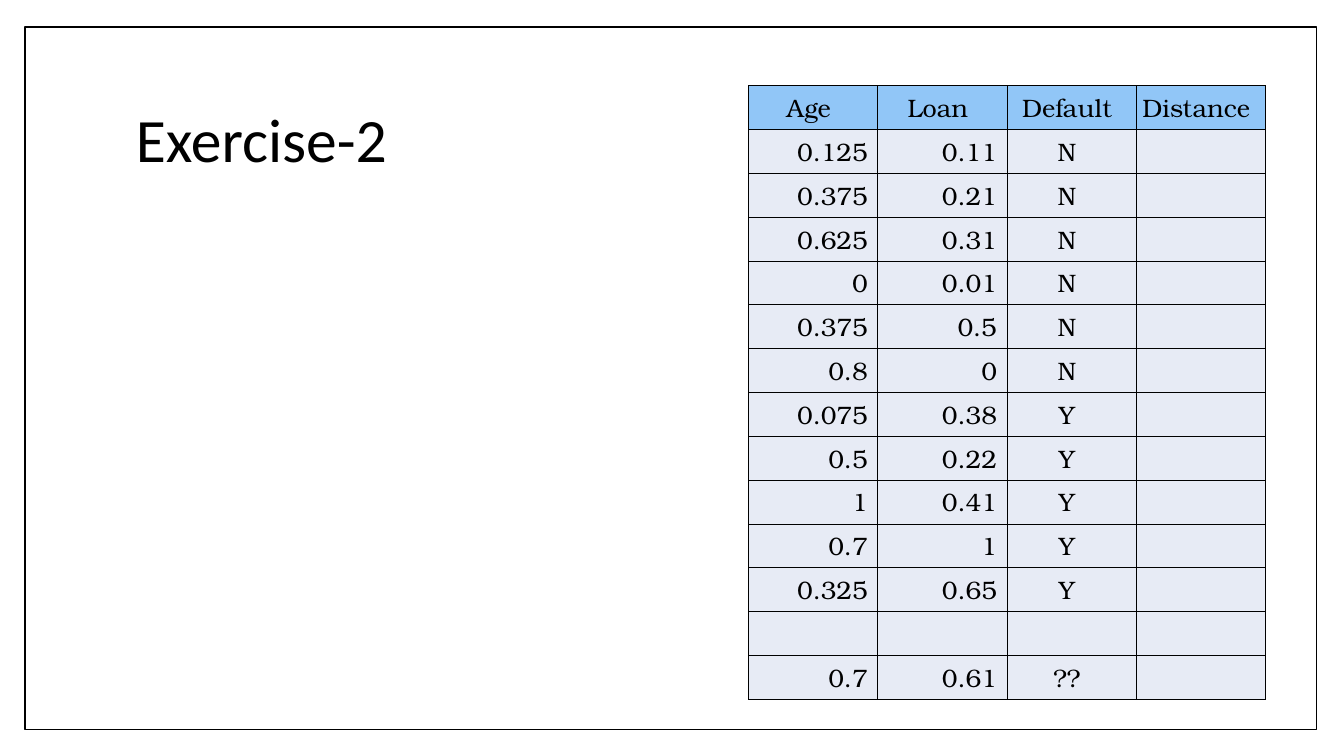
from dataclasses import dataclass

from lxml import etree
from pptx import Presentation
from pptx import util as u
from pptx.dml import color
from pptx.enum import shapes, text
from pptx.oxml import ns

COLORS = {"ink": "000000", "paper": "FFFFFF", "header": "91C6F7", "body": "E7EBF5"}
TITLE_FONT = "Calibri"
TABLE_FONT = "TeX Gyre Bonum"
BORDER_WIDTH = u.Pt(0.45)


@dataclass
class Column:
    heading: str
    values: list[str]
    align: text.PP_ALIGN


COLUMNS = [
    Column("Age", ["0.125", "0.375", "0.625", "0", "0.375", "0.8", "0.075",
                   "0.5", "1", "0.7", "0.325", "", "0.7"], text.PP_ALIGN.RIGHT),
    Column("Loan", ["0.11", "0.21", "0.31", "0.01", "0.5", "0", "0.38",
                    "0.22", "0.41", "1", "0.65", "", "0.61"], text.PP_ALIGN.RIGHT),
    Column("Default", ["N"] * 6 + ["Y"] * 5 + ["", "??"], text.PP_ALIGN.CENTER),
    Column("Distance", [""] * 13, text.PP_ALIGN.CENTER),
]


def rgb(name: str) -> color.RGBColor:
    return color.RGBColor.from_string(COLORS[name])


def style_runs(paragraph, font: str, size: float) -> None:
    for run in paragraph.runs:
        run.font.name = font
        run.font.size = u.Pt(size)
        run.font.bold = False
        run.font.color.rgb = rgb("ink")


def add_frame(slide) -> None:
    frame = slide.shapes.add_shape(
        shapes.MSO_SHAPE.RECTANGLE,
        u.Inches(0.25), u.Inches(0.27), u.Inches(12.82), u.Inches(6.97))
    frame.shadow.inherit = False
    frame.fill.solid()
    frame.fill.fore_color.rgb = rgb("paper")
    frame.line.color.rgb = rgb("ink")
    frame.line.width = u.Pt(1)


def add_title(slide, wording: str) -> None:
    title = slide.shapes.add_textbox(
        u.Inches(1.25), u.Inches(0.67), u.Inches(10.8), u.Inches(1.48)).text_frame
    title.word_wrap = True
    title.vertical_anchor = text.MSO_ANCHOR.MIDDLE
    title.text = wording
    title.paragraphs[0].line_spacing = 0.9
    style_runs(title.paragraphs[0], TITLE_FONT, 44)


def add_borders(cell) -> None:
    properties = cell._tc.get_or_add_tcPr()
    for side in ("a:lnL", "a:lnR", "a:lnT", "a:lnB"):
        line = etree.SubElement(properties, ns.qn(side), w=str(int(BORDER_WIDTH)))
        fill = etree.SubElement(line, ns.qn("a:solidFill"))
        etree.SubElement(fill, ns.qn("a:srgbClr"), val=COLORS["ink"])


def fill_cell(cell, wording: str, align: text.PP_ALIGN, fill: str) -> None:
    add_borders(cell)
    cell.fill.solid()
    cell.fill.fore_color.rgb = rgb(fill)
    cell.margin_left, cell.margin_right = u.Inches(0.01), u.Inches(0.1)
    cell.margin_top = cell.margin_bottom = u.Inches(0.05)
    cell.vertical_anchor = text.MSO_ANCHOR.MIDDLE
    paragraph = cell.text_frame.paragraphs[0]
    paragraph.text = wording
    paragraph.alignment = align
    style_runs(paragraph, TABLE_FONT, 18)


def add_loans(slide, columns: list[Column]) -> None:
    row_count = len(columns[0].values) + 1
    loans = slide.shapes.add_table(
        row_count, len(columns),
        u.Inches(7.43), u.Inches(0.85), u.Inches(5.13), u.Inches(6.09)).table
    loans.first_row = False
    loans.horz_banding = False
    for x, column in enumerate(columns):
        fill_cell(loans.cell(0, x), column.heading, text.PP_ALIGN.CENTER, "header")
        for y, value in enumerate(column.values, start=1):
            fill_cell(loans.cell(y, x), value, column.align, "body")


def main() -> None:
    deck = Presentation()
    deck.slide_width, deck.slide_height = u.Inches(13.34), u.Inches(7.5)
    slide = deck.slides.add_slide(deck.slide_layouts[6])
    add_frame(slide)
    add_title(slide, "Exercise-2")
    add_loans(slide, COLUMNS)
    deck.save("out.pptx")


if __name__ == "__main__":
    main()
